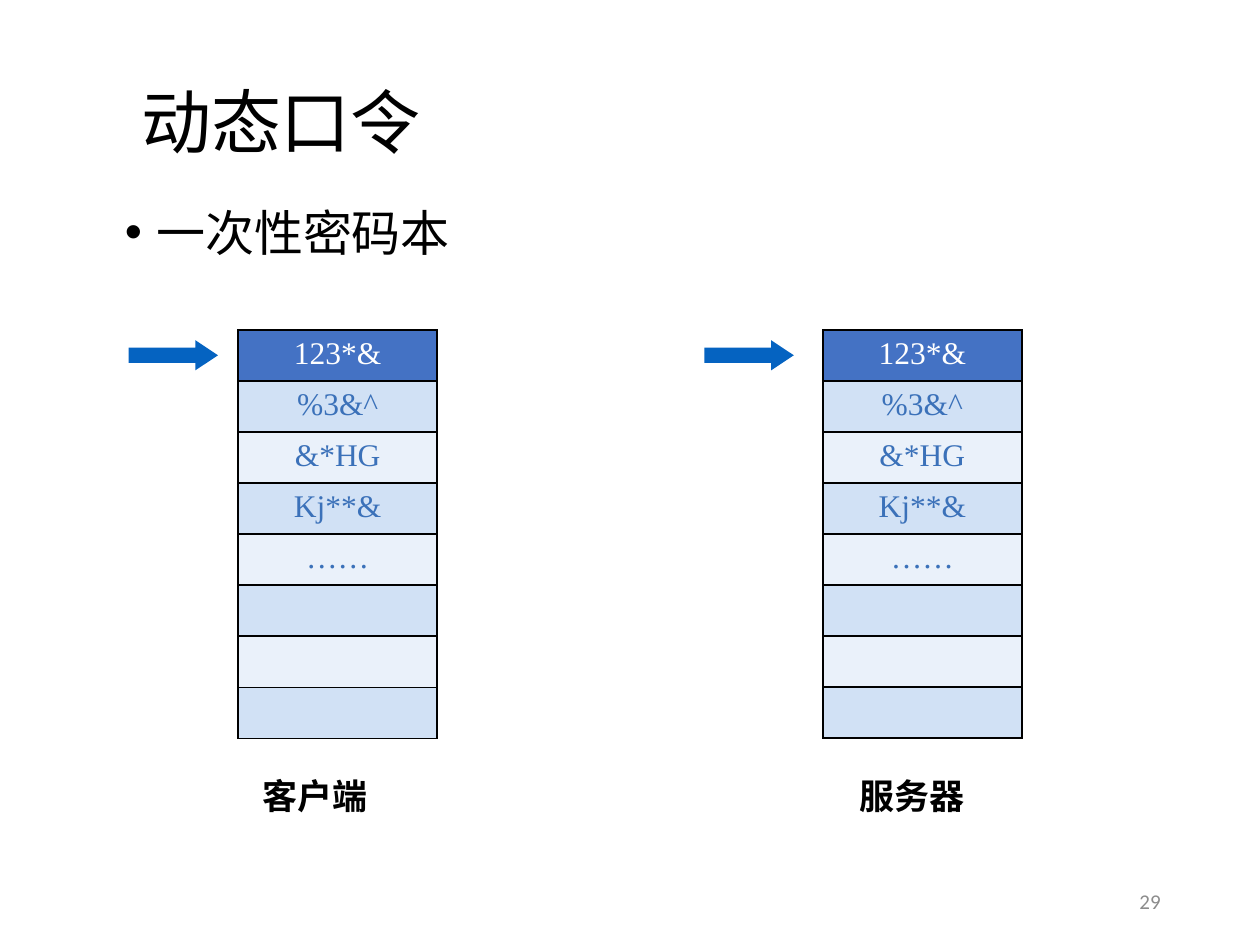
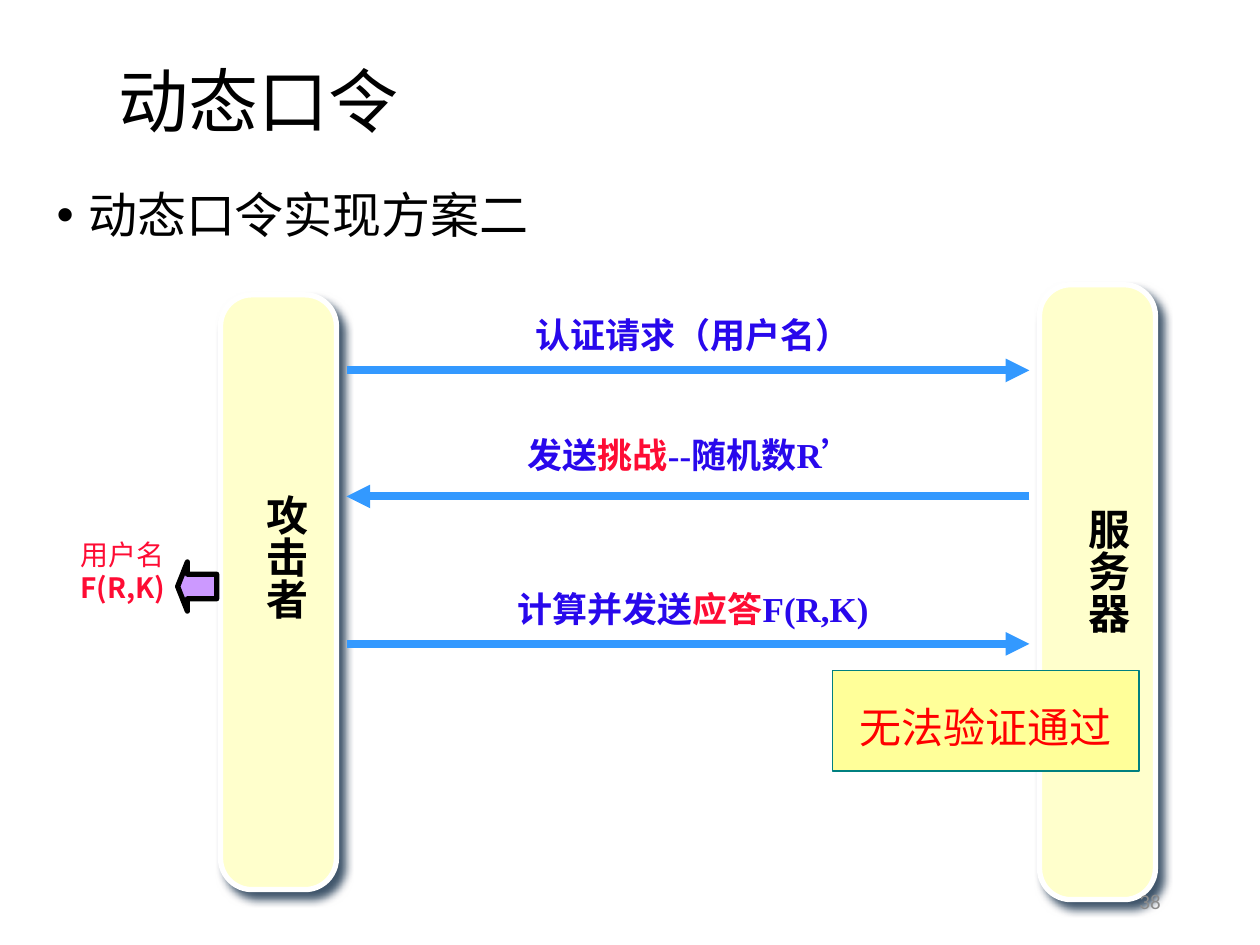
from dataclasses import dataclass

from lxml import etree
from pptx import Presentation
from pptx.dml.color import RGBColor as Rgb
from pptx.enum.shapes import MSO_CONNECTOR as Link, MSO_SHAPE as Kind
from pptx.enum.text import MSO_ANCHOR as Anchor, MSO_AUTO_SIZE as Fit, PP_ALIGN as Align
from pptx.oxml import parse_xml
from pptx.oxml.ns import nsdecls, qn
from pptx.util import Inches, Pt


@dataclass(frozen=True)
class Theme:
    sans: str = "Calibri"
    serif: str = "Times New Roman"
    cjk: str = "Noto Sans CJK SC"
    black: str = "000000"
    white: str = "FFFFFF"
    gray: str = "8C8C8C"
    head: str = "4472C4"
    bands: tuple = ("EAF1FA", "D1E1F5")
    code: str = "3B71B9"
    marker: str = "0563C1"
    cream: str = "FFFFCC"
    shade: str = "001D3A"
    flow: str = "3399FF"
    blue: str = "2808EC"
    pink: str = "FE0C34"
    red: str = "FF0000"
    yellow: str = "FFFF99"
    teal: str = "008080"
    purple: str = "CC99FF"
    title: int = 40
    body: int = 28
    large: int = 24
    label: int = 20
    cell: int = 18
    small: int = 16
    page: int = 12


T = Theme()


def write(frame, parts, size, font=T.serif, bold=False, **style):
    """Fill the first paragraph with (text, colour) or (text, colour, bold) parts."""
    para = frame.paragraphs[0]
    for name, value in style.items():
        setattr(para, name, value)
    for text, color, *heavy in parts:
        run = para.add_run()
        run.text = text
        look = {"name": font, "size": Pt(size), "bold": heavy[0] if heavy else bold}
        for name, value in look.items():
            setattr(run.font, name, value)
        run.font.color.rgb = Rgb.from_string(color)
        east = etree.SubElement(run._r.get_or_add_rPr(), qn("a:ea"))
        east.set("typeface", T.cjk)
    return para


def dress(shape, fill, line=None, width=0):
    shape.shadow.inherit = False
    shape.fill.solid()
    shape.fill.fore_color.rgb = Rgb.from_string(fill)
    if line:
        shape.line.color.rgb = Rgb.from_string(line)
        shape.line.width = Pt(width)
    else:
        shape.line.fill.background()


deck = Presentation()
deck.slide_width, deck.slide_height = Inches(10), Inches(7.5)

# Titles and lists
pages = [
    ((1.02, 0.76, 8.11, 0.47), "一次性密码本", (0.89, 1.46, 8.51, 0.63), 1.2),
    ((0.84, 0.6, 8.11, 0.47), "动态口令实现方案二", (0.35, 1.47, 8.43, 1.81), 0.9),
]
slides = []
for spot, point, area, gap in pages:
    slide = deck.slides.add_slide(deck.slide_layouts[1])
    slides.append(slide)
    title, body = slide.placeholders
    for shape, box, anchor in ((title, spot, Anchor.MIDDLE), (body, area, Anchor.TOP)):
        shape.left, shape.top, shape.width, shape.height = map(Inches, box)
        shape.text_frame.auto_size = Fit.NONE
        shape.text_frame.vertical_anchor = anchor
    write(title.text_frame, [("动态口令", T.black)], T.title, T.sans,
          alignment=Align.LEFT, line_spacing=0.9)
    para = write(body.text_frame, [(point, T.black)], T.body, T.sans,
                 alignment=Align.JUSTIFY, line_spacing=gap, space_before=Pt(0))
    props = para._p.get_or_add_pPr()
    props.set("marL", str(Inches(0.25)))
    props.set("indent", str(-Inches(0.25)))
    props.append(parse_xml(f'<a:buFont {nsdecls("a")} typeface="Arial"/>'))
    props.append(parse_xml(f'<a:buChar {nsdecls("a")} char="•"/>'))

book, scheme = slides

# One-time pads of both sides
codes = ["123*&", "%3&^", "&*HG", "Kj**&", "……", "", "", ""]
for name, left, mark, label in (("客户端", 1.89, 1.02, 1.24), ("服务器", 6.53, 5.59, 5.98)):
    pad = book.shapes.add_table(len(codes), 1, Inches(left), Inches(2.62),
                                Inches(1.58), Inches(3.24)).table
    for row, code in enumerate(codes):
        cell = pad.cell(row, 0)
        props = cell._tc.get_or_add_tcPr()
        for side in ("lnL", "lnR", "lnT", "lnB"):
            props.append(parse_xml(
                f'<a:{side} {nsdecls("a")} w="{Pt(1)}"><a:solidFill>'
                f'<a:srgbClr val="{T.black}"/></a:solidFill></a:{side}>'))
        cell.fill.solid()
        cell.fill.fore_color.rgb = Rgb.from_string(T.bands[row % 2] if row else T.head)
        if code:
            write(cell.text_frame, [(code, T.code if row else T.white)], T.cell,
                  alignment=Align.CENTER)
    arrow = book.shapes.add_shape(Kind.RIGHT_ARROW, Inches(mark), Inches(2.7),
                                  Inches(0.71), Inches(0.24))
    arrow.adjustments[1] = 0.75
    dress(arrow, T.marker)
    box = book.shapes.add_textbox(Inches(label), Inches(6.1), Inches(2.52), Inches(0.44))
    box.text_frame.word_wrap = True
    write(box.text_frame, [(name, T.black)], T.label, bold=True, alignment=Align.CENTER)

# Attacker and server columns
columns = [
    ("攻击者", (-0.15, 4.24, 4.72, 0.92), (1.92, 3.83, 0.6, 1.36)),
    ("服务器", (6.27, 4.24, 4.88, 0.92), (8.44, 3.94, 0.6, 1.4)),
]
for name, bar, spot in columns:
    card = scheme.shapes.add_shape(Kind.ROUNDED_RECTANGLE, *map(Inches, bar))
    card.rotation = 90
    card.adjustments[0] = 0.27
    dress(card, T.cream, T.white, 3)
    card._element.spPr.find(qn("a:effectLst")).append(parse_xml(
        f'<a:outerShdw {nsdecls("a")} blurRad="{Pt(5)}" dist="{Pt(5)}" dir="{53 * 60000}" '
        f'algn="ctr" rotWithShape="0"><a:srgbClr val="{T.shade}">'
        '<a:alpha val="75000"/></a:srgbClr></a:outerShdw>'))
    box = scheme.shapes.add_textbox(*map(Inches, spot))
    box.text_frame.word_wrap = True
    box.text_frame._txBody.bodyPr.set("vert", "eaVert")
    write(box.text_frame, [(name, T.black)], T.large, bold=True, alignment=Align.CENTER)

# Messages between them
near, far = 2.75, 8.17
steps = [
    (near, far, 2.94, (2.75, 2.44, 5.5, 0.43), [("认证请求（用户名）", T.blue)]),
    (far, near, 3.94, (2.83, 3.39, 5.33, 0.43),
     [("发送", T.blue), ("挑战", T.pink), ("--随机数R’", T.blue)]),
    (near, far, 5.11, (2.75, 4.61, 5.5, 0.43),
     [("计算并发送", T.blue), ("应答", T.pink), ("F(R,K)", T.blue)]),
]
for start, end, high, spot, parts in steps:
    line = scheme.shapes.add_connector(Link.STRAIGHT, Inches(start), Inches(high),
                                       Inches(end), Inches(high))
    line.line.color.rgb = Rgb.from_string(T.flow)
    line.line.width = Pt(4.5)
    etree.SubElement(line.line._get_or_add_ln(), qn("a:tailEnd")).set("type", "triangle")
    etree.SubElement(line._element.spPr, qn("a:effectLst"))
    box = scheme.shapes.add_textbox(*map(Inches, spot))
    box.text_frame.word_wrap = True
    write(box.text_frame, parts, T.label, bold=True, alignment=Align.CENTER)

# Failed check and leaked reply
fail = scheme.shapes.add_shape(Kind.RECTANGLE, Inches(6.61), Inches(5.32),
                               Inches(2.43), Inches(0.8))
dress(fail, T.yellow, T.teal, 0.75)
fail.text_frame.vertical_anchor = Anchor.TOP
write(fail.text_frame, [("无法验证通过", T.red)], T.large,
      alignment=Align.CENTER, line_spacing=1.5)

leak = scheme.shapes.add_shape(Kind.LEFT_ARROW, Inches(1.41), Inches(4.46),
                               Inches(0.31), Inches(0.39))
leak.adjustments[1] = 0.25
dress(leak, T.purple, T.black, 3)
box = scheme.shapes.add_textbox(Inches(0.39), Inches(4.22), Inches(1.17), Inches(1.04))
box.text_frame.word_wrap = True
para = write(box.text_frame, [("用户名", T.pink)], T.small, T.cjk,
             alignment=Align.CENTER, line_spacing=Pt(19))
para.add_line_break()
write(box.text_frame, [("F(R,K)", T.pink)], T.small, T.cjk, bold=True)

# Page numbers
for slide, number in zip(slides, ("29", "38")):
    box = slide.shapes.add_textbox(Inches(7.06), Inches(6.95), Inches(2.25), Inches(0.4))
    box.text_frame.word_wrap = True
    box.text_frame.vertical_anchor = Anchor.MIDDLE
    write(box.text_frame, [(number, T.gray)], T.page, T.sans, alignment=Align.RIGHT)

deck.save("out.pptx")
